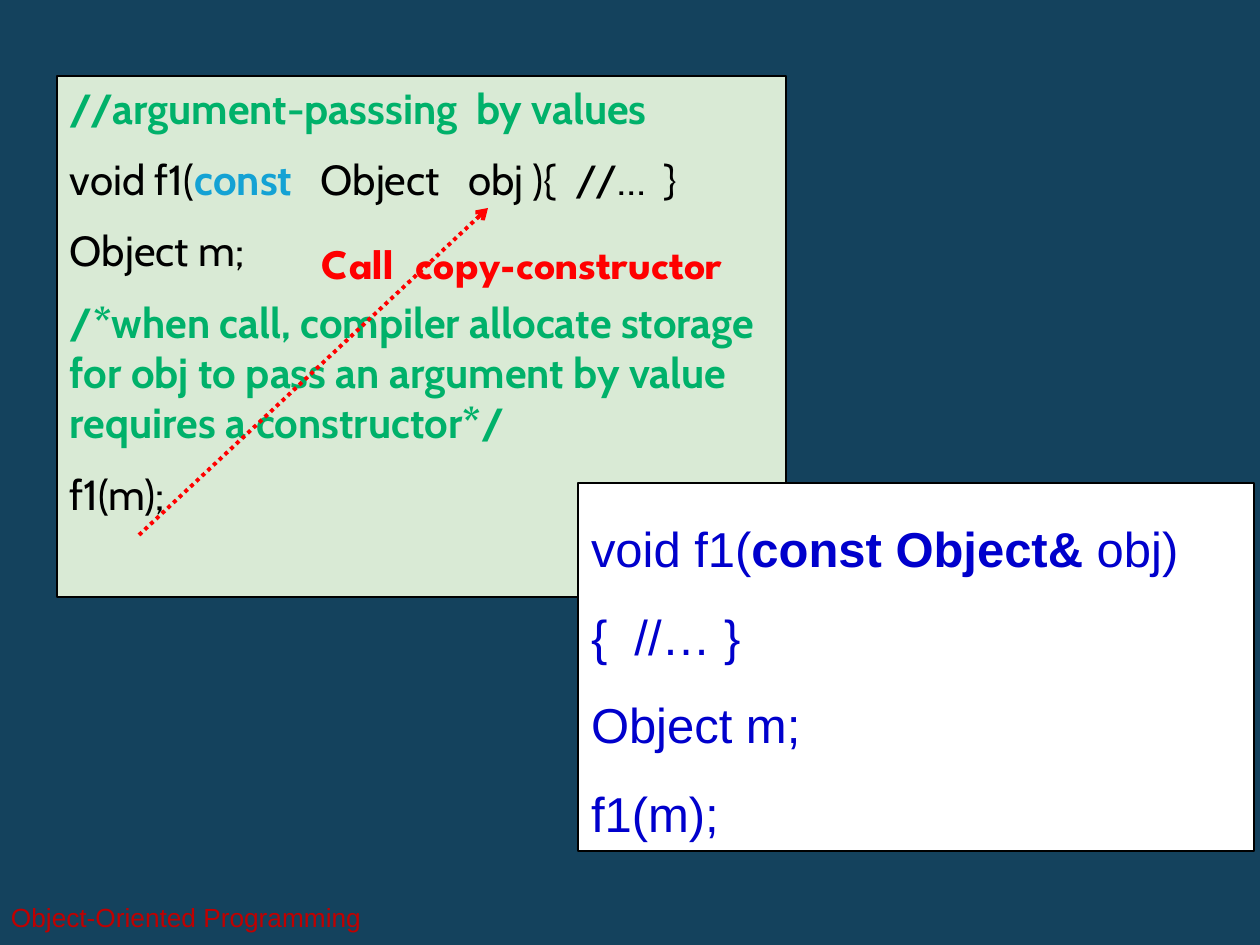
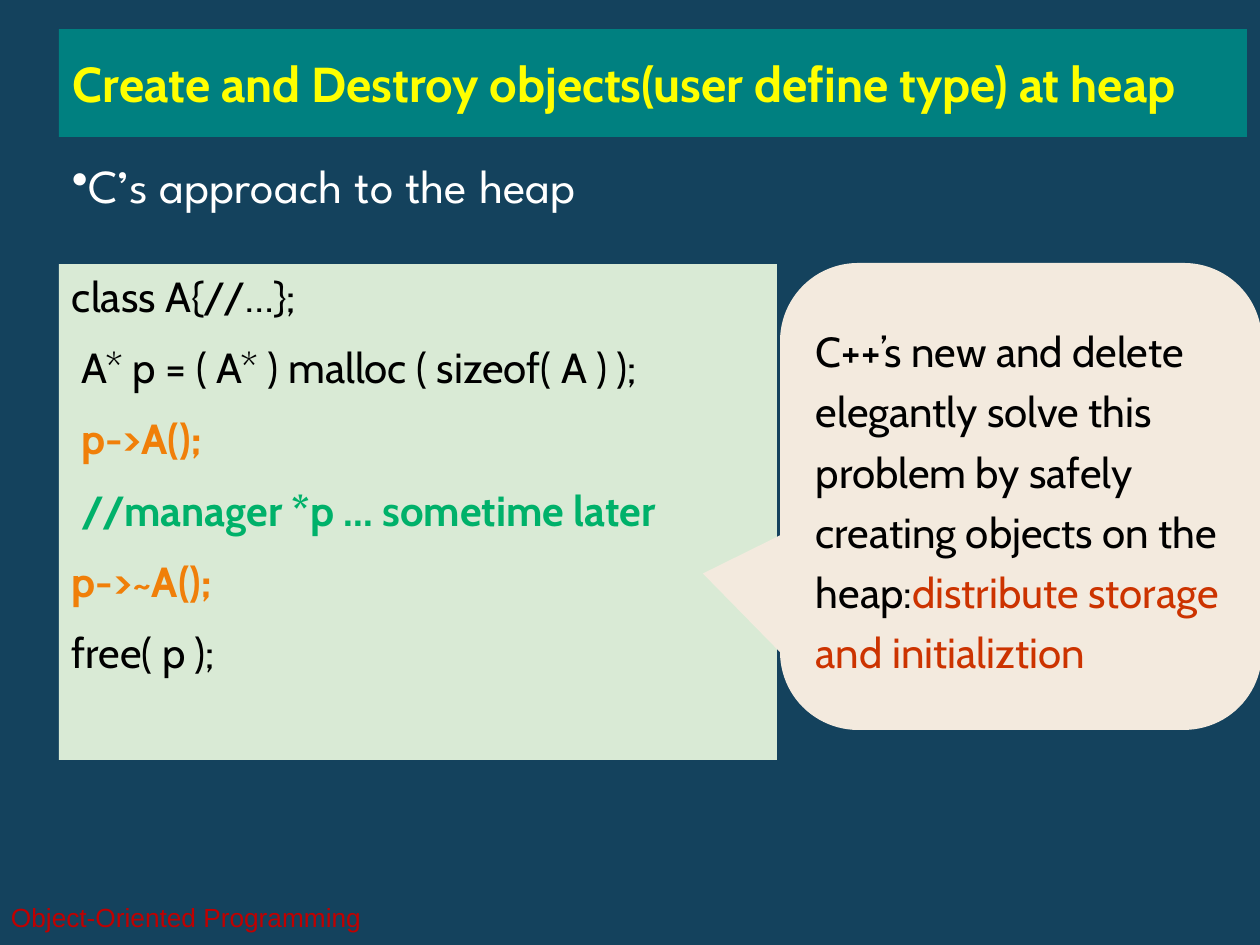
from lxml.etree import SubElement
from pptx import Presentation
from pptx.dml.color import RGBColor
from pptx.enum.dml import MSO_LINE
from pptx.enum.shapes import MSO_CONNECTOR, MSO_SHAPE
from pptx.enum.text import MSO_ANCHOR, PP_ALIGN
from pptx.oxml.ns import qn
from pptx.util import Pt

PX = 914400 / 126  # EMU per pixel
NAVY, MINT, CREAM, TEAL = "14425D", "D9EAD5", "F3EADE", "008080"
BLACK, WHITE, RED, YELLOW = "000000", "FFFFFF", "FF0000", "FFFF00"
GREEN, SKY, ORANGE, RUST = "00B16A", "14A2D4", "F07F09", "CC3300"
BLUE, WINE = "0000CC", "C00000"
CODE, BODY, HEAD = "Cabin", "Arial", "League Spartan"
BREAK = "\v"

# A paragraph is a list of runs: (text, colour, bold)
FOOT = [[("Object-Oriented Programming", WINE, False)]]
TITLE = [[("Create and Destroy objects(user define type) at heap", YELLOW, True)]]
POINT = [[("C’s approach to the heap", WHITE, False)]]
LABEL = [[("Call  copy-constructor", RED, True)]]
BY_VALUE = [
    [("//argument-passsing  by values", GREEN, True)],
    [("void f1(", BLACK, False), ("const   ", SKY, True),
     ("Object   obj ){  //…  } ", BLACK, False)],
    [("Object m; ", BLACK, False)],
    [("/*when call, compiler allocate storage for obj to pass an argument "
      "by value requires a constructor*/", GREEN, True)],
    [("f1(m); ", BLACK, False)],
]
BY_REF = [
    [("void f1(", BLUE, False), ("const Object& ", BLUE, True),
     ("obj)", BLUE, False), (BREAK, BLUE, False), ("{  //… } ", BLUE, False)],
    [("Object m; ", BLUE, False)],
    [("f1(m);", BLUE, False)],
]
HEAP = [
    [("class A{//…};", BLACK, False)],
    [(" A* p = ( A* ) malloc ( sizeof( A ) );", BLACK, False)],
    [(" p->A();", ORANGE, True)],
    [(" //manager *p ... sometime later ", GREEN, True)],
    [("p->~A();", ORANGE, True)],
    [("free( p );", BLACK, False)],
]
NOTE = [[
    ("C++’s new and delete elegantly solve this problem by safely "
     "creating objects on the heap:", BLACK, False),
    ("distribute storage and initializtion", RUST, False),
]]


def rgb(code):
    """Turn a hex string into a colour."""
    return RGBColor.from_string(code)


def emu(*nums):
    """Turn pixels into EMU."""
    return [round(n * PX) for n in nums]


def new_slide():
    """Add a slide with the shared background and footer."""
    slide = deck.slides.add_slide(deck.slide_layouts[6])
    slide.background.fill.solid()
    slide.background.fill.fore_color.rgb = rgb(NAVY)
    box = add_text(slide, (-2, 892, 505, 50))
    write(box, FOOT, BODY, 15, mid=True)
    return slide


def add_text(slide, at):
    """Add an empty text box."""
    return slide.shapes.add_textbox(*emu(*at))


def add_panel(slide, at, fill, line=None, kind=MSO_SHAPE.RECTANGLE):
    """Add a flat filled shape, outlined if a line colour is given."""
    box = slide.shapes.add_shape(kind, *emu(*at))
    box.shadow.inherit = False
    box.fill.solid()
    box.fill.fore_color.rgb = rgb(fill)
    if line:
        box.line.color.rgb = rgb(line)
        box.line.width = Pt(1)
    else:
        box.line.fill.background()
    return box


def half_gap(para):
    """Set the space before a paragraph to half a line."""
    para.space_before = Pt(0)
    gap = para._p.pPr.find(qn("a:spcBef"))
    gap.clear()
    SubElement(gap, qn("a:spcPct"), val="50000")


def write(box, paras, font, size, mid=False, lead=None, gaps=0, pad=13):
    """Fill a box; the first `gaps` paragraphs get space before them."""
    frame = box.text_frame
    frame.word_wrap = True
    frame.vertical_anchor = MSO_ANCHOR.MIDDLE if mid else MSO_ANCHOR.TOP
    frame.margin_left = frame.margin_right = emu(pad)[0]
    frame.margin_top = frame.margin_bottom = emu(pad // 2)[0]
    for i, runs in enumerate(paras):
        para = frame.paragraphs[0] if i == 0 else frame.add_paragraph()
        para.alignment = PP_ALIGN.LEFT
        if lead:
            para.line_spacing = lead
        if i < gaps:
            half_gap(para)
        for text, tint, bold in runs:
            if text == BREAK:
                para.add_line_break()
                continue
            run = para.add_run()
            run.text = text
            run.font.name, run.font.size = font, Pt(size)
            run.font.bold = bold
            run.font.color.rgb = rgb(tint)


def add_arrow(slide, start, end):
    """Draw a dotted red arrow."""
    link = slide.shapes.add_connector(MSO_CONNECTOR.STRAIGHT, *emu(*start, *end))
    link.line.color.rgb = rgb(RED)
    link.line.width = Pt(2.25)
    link.line.dash_style = MSO_LINE.ROUND_DOT
    SubElement(link.line._get_or_add_ln(), qn("a:tailEnd"), type="arrow")
    SubElement(link._element.spPr, qn("a:effectLst"))


def add_bullet(box):
    """Put a bullet on the first paragraph of a box."""
    props = box.text_frame.paragraphs[0]._p.get_or_add_pPr()
    SubElement(props, qn("a:buChar"), char="•")


def pass_slide():
    """Passing an argument by value and by reference."""
    slide = new_slide()
    box = add_panel(slide, (57, 76, 729, 521), MINT, BLACK)
    write(box, BY_VALUE, CODE, 24, gaps=len(BY_VALUE))
    box = add_panel(slide, (578, 483, 676, 368), WHITE, BLACK)
    write(box, BY_REF, BODY, 28, lead=1.5, gaps=1)
    add_arrow(slide, (139, 535), (488, 208))
    write(add_text(slide, (312, 233, 494, 62)), LABEL, HEAD, 24, pad=10)


def heap_slide():
    """Creating and destroying objects at the heap."""
    slide = new_slide()
    box = add_panel(slide, (59, 29, 1188, 108), TEAL)
    write(box, TITLE, CODE, 28, mid=True, pad=14)
    box = add_text(slide, (59, 147, 1152, 73))
    write(box, POINT, HEAD, 27, lead=Pt(34.4))
    add_bullet(box)
    box = add_panel(slide, (59, 264, 718, 496), MINT)
    write(box, HEAP, CODE, 24, gaps=len(HEAP))
    box = add_panel(slide, (780, 263, 482, 467), CREAM,
                    kind=MSO_SHAPE.ROUNDED_RECTANGULAR_CALLOUT)
    for i, val in enumerate((-0.66, 0.165, 0.167)):
        box.adjustments[i] = val
    write(box, NOTE, CODE, 24, mid=True, lead=Pt(34.4), gaps=1)


deck = Presentation()
deck.slide_width, deck.slide_height = emu(1260, 945)
pass_slide()
heap_slide()
deck.save("out.pptx")
